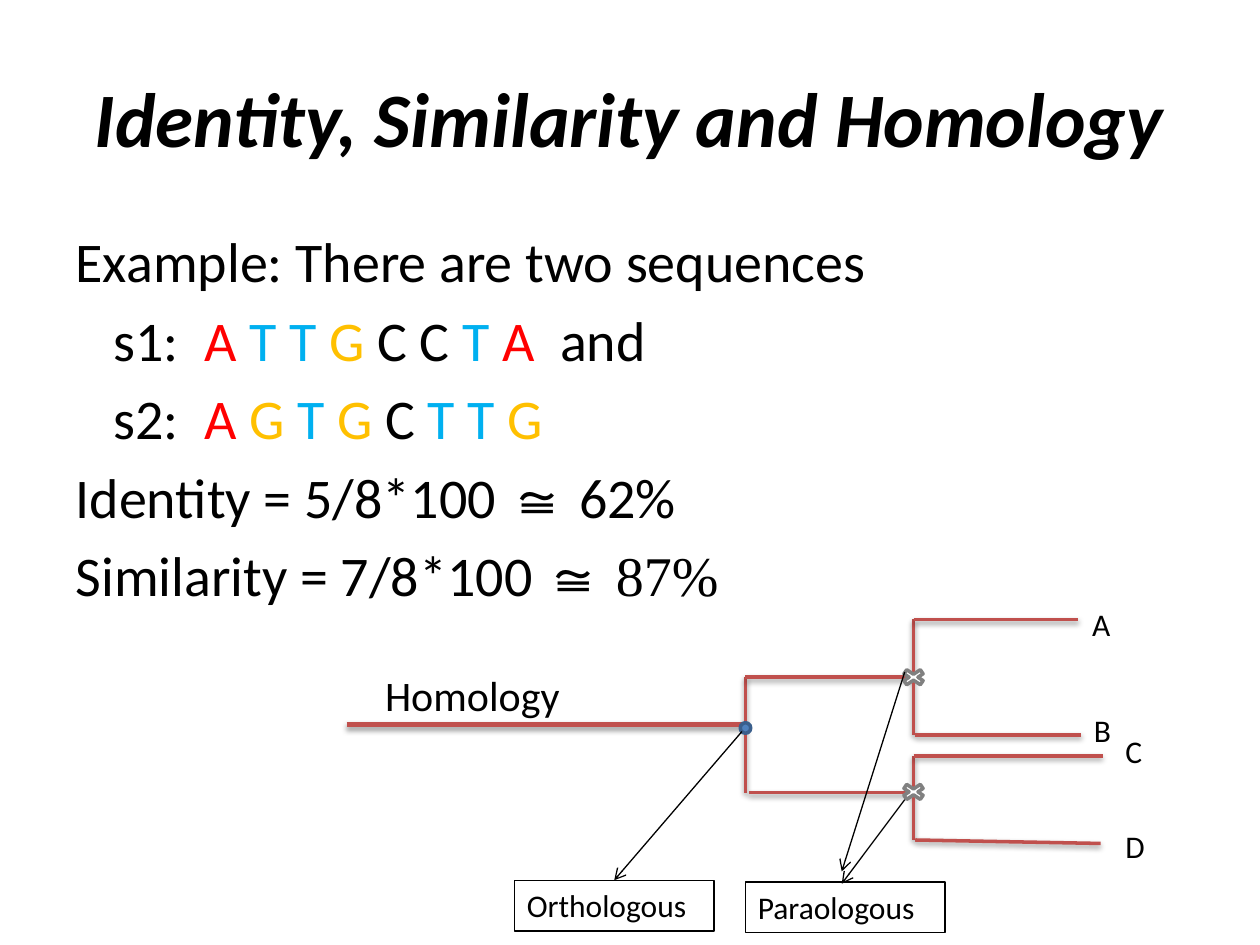
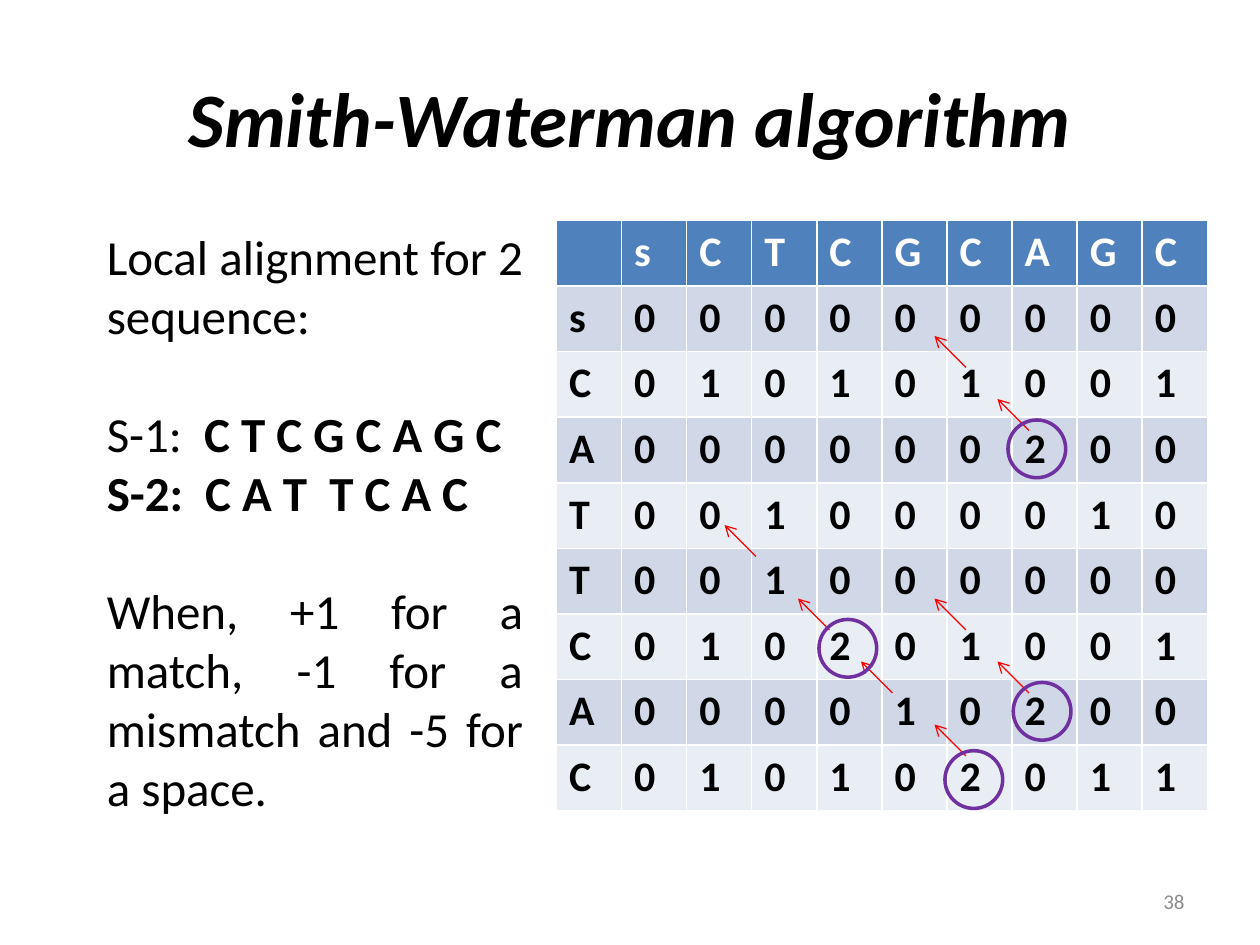
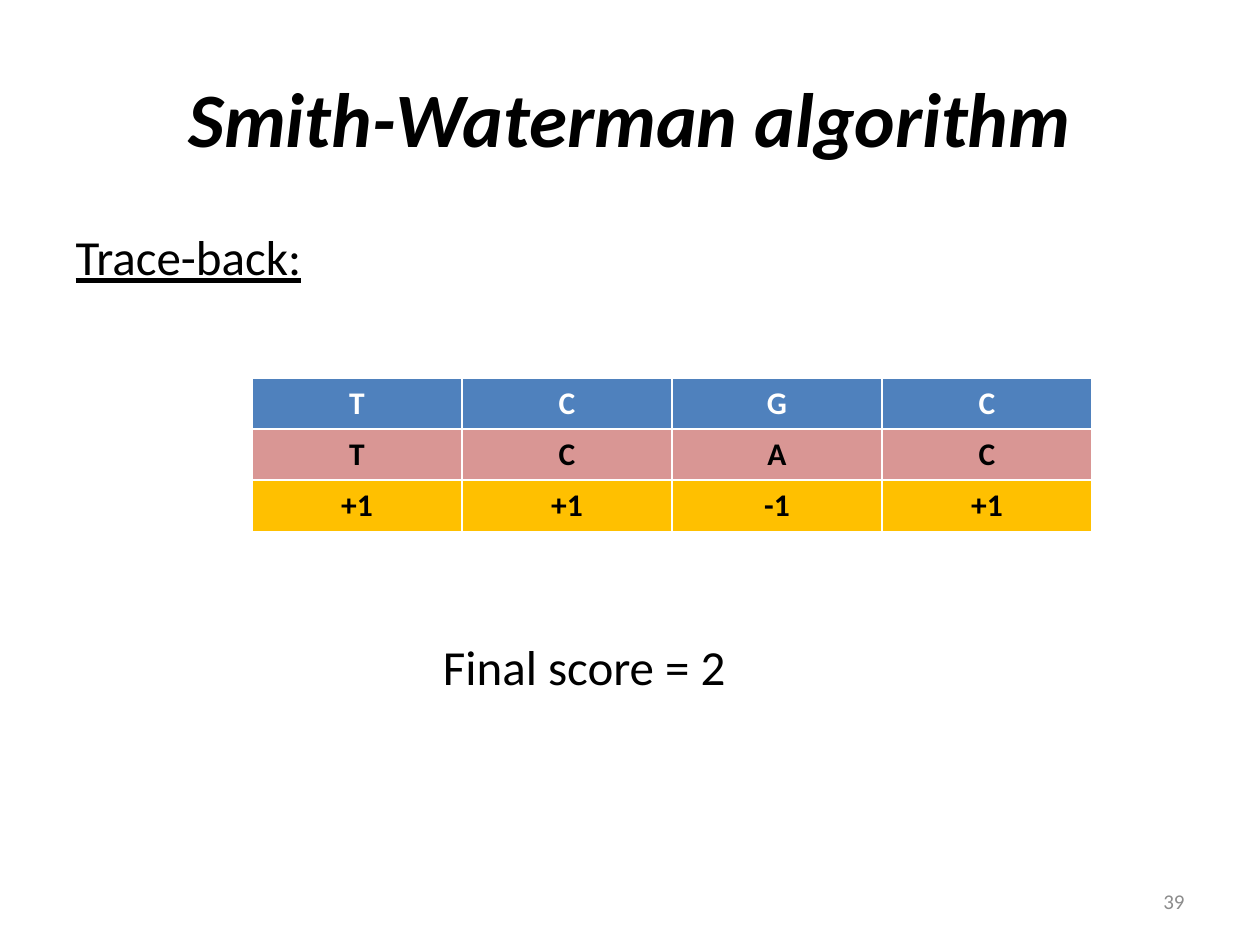
from lxml import etree
from pptx import Presentation
from pptx.dml.color import RGBColor
from pptx.enum import shapes, text
from pptx.oxml import ns
from pptx.util import Pt

BLACK = RGBColor(0x00, 0x00, 0x00)
WHITE = RGBColor(0xFF, 0xFF, 0xFF)
RED = RGBColor(0xFF, 0x00, 0x00)
SKY = RGBColor(0x00, 0xB0, 0xF0)
GOLD = RGBColor(0xFF, 0xC0, 0x00)
BRICK = RGBColor(0xC0, 0x50, 0x4D)
ROSE = RGBColor(0xD9, 0x96, 0x94)
BLUE = RGBColor(0x4F, 0x81, 0xBD)
NAVY = RGBColor(0x3A, 0x5F, 0x8C)
PALE = RGBColor(0xD0, 0xD8, 0xE8)
MIST = RGBColor(0xE9, 0xED, 0xF4)
GRAY = RGBColor(0x80, 0x80, 0x80)
ASH = RGBColor(0x8C, 0x8C, 0x8C)
PLUM = RGBColor(0x70, 0x30, 0xA0)

SANS, SERIF = "Calibri", "Times New Roman"
BASES = {"A": RED, "T": SKY, "G": GOLD, "C": BLACK}
LEFT, CENTER, RIGHT, JUST = (text.PP_ALIGN.LEFT, text.PP_ALIGN.CENTER,
                             text.PP_ALIGN.RIGHT, text.PP_ALIGN.JUSTIFY)


def sub(parent, tag, **attrs):
    return etree.SubElement(parent, ns.qn(tag), **attrs)


def place(shape, left, top, width, height):
    shape.left, shape.top = Pt(left), Pt(top)
    shape.width, shape.height = Pt(width), Pt(height)


class Deck:
    def __init__(self):
        self.prs = Presentation()
        self.prs.slide_width, self.prs.slide_height = Pt(720), Pt(540)
        self.slide = None

    def start(self, title, layout):
        self.slide = self.prs.slides.add_slide(self.prs.slide_layouts[layout])
        head = self.slide.shapes.title
        place(head, 36, 21.6, 648, 90)
        frame = head.text_frame
        frame.vertical_anchor = text.MSO_ANCHOR.MIDDLE
        par = frame.paragraphs[0]
        par.alignment = CENTER
        self.run(par, title, 44, bold=True, ital=True)

    def run(self, par, words, size, color=BLACK, font=SANS,
            bold=False, ital=False, under=False):
        run = par.add_run()
        run.text = words
        face = run.font
        face.name, face.size = font, Pt(size)
        face.bold, face.italic, face.underline = bold, ital, under
        face.color.rgb = color

    def body(self):
        """Place the body and return its text frame."""
        holder = self.slide.placeholders[1]
        place(holder, 36, 126, 648, 356.4)
        return holder.text_frame

    def par(self, frame, indent=0):
        """Return the next paragraph, without a bullet."""
        par = frame.paragraphs[0]
        if par.runs:
            par = frame.add_paragraph()
        props = par._p.get_or_add_pPr()
        props.set("marL", str(Pt(indent)))
        props.set("indent", "0")
        sub(props, "a:buNone")
        return par

    def box(self, spot, words="", size=18, color=BLACK, align=LEFT, edge=None):
        box = self.slide.shapes.add_textbox(*map(Pt, spot))
        frame = box.text_frame
        frame.word_wrap = True
        if edge is not None:
            box.line.color.rgb, box.line.width = edge, Pt(0.75)
        if words:
            par = frame.paragraphs[0]
            par.alignment = align
            self.run(par, words, size, color)
        return frame

    def line(self, begin, end, color, width=0.75, arrow=False, shade=False):
        link = self.slide.shapes.add_connector(
            shapes.MSO_CONNECTOR.STRAIGHT, *map(Pt, begin + end))
        link.line.color.rgb, link.line.width = color, Pt(width)
        if arrow:
            sub(link.line._get_or_add_ln(), "a:tailEnd", type="arrow")
        effect = sub(link._element.spPr, "a:effectLst")
        if shade:
            cast = sub(effect, "a:outerShdw", blurRad=str(Pt(3.1)), dist=str(Pt(1.6)),
                       dir="5400000", rotWithShape="0")
            hue = sub(cast, "a:srgbClr", val=str(BLACK))
            sub(hue, "a:alpha", val="38000")

    def form(self, kind, spot, edge, fill=None):
        form = self.slide.shapes.add_shape(kind, *map(Pt, spot))
        form.shadow.inherit = False
        form.line.color.rgb, form.line.width = edge, Pt(2)
        if fill is None:
            form.fill.background()
        else:
            form.fill.solid()
            form.fill.fore_color.rgb = fill

    def table(self, spot, rows, fills, size, align):
        grid = self.slide.shapes.add_table(
            len(rows), len(rows[0]), *map(Pt, spot)).table
        for r, (row, fill) in enumerate(zip(rows, fills)):
            for c, words in enumerate(row):
                cell = grid.cell(r, c)
                cell.fill.solid()
                cell.fill.fore_color.rgb = fill
                par = cell.text_frame.paragraphs[0]
                par.alignment = align
                if words.strip():
                    self.run(par, words, size, BLACK if r else WHITE, bold=True)
                else:
                    par.font.size = Pt(size)

    def number(self, num):
        frame = self.box((516, 500.5, 168, 28.8), str(num), 12, ASH, RIGHT)
        frame.vertical_anchor = text.MSO_ANCHOR.MIDDLE


def homology(deck):
    deck.start("Identity, Similarity and Homology", 1)
    frame = deck.body()
    deck.run(deck.par(frame), "Example: There are two sequences", 32)
    for name, bases, tail in (("s1:  ", "ATTGCCTA", "  and"),
                              ("s2:  ", "AGTGCTTG", "")):
        par = deck.par(frame, 21.6)
        deck.run(par, name, 32)
        for i, base in enumerate(bases, 1):
            gap = " " if i < len(bases) else ""
            deck.run(par, base + gap, 32, BASES[base])
        if tail:
            deck.run(par, tail, 32)
    par = deck.par(frame)
    deck.run(par, "Identity = 5/8*100 ", 32)
    deck.run(par, "≅ ", 32, font=SERIF)
    deck.run(par, "62%", 32)
    par = deck.par(frame)
    deck.run(par, "Similarity = 7/8*100 ", 32)
    deck.run(par, "≅ 87%", 32, font=SERIF)

    deck.line((198, 414), (426, 414), BRICK, 3, shade=True)
    for begin, end in (
            ((426, 387), (426, 453)), ((426, 387), (522, 387)),
            ((428, 453), (522, 453)), ((522, 354), (522, 420)),
            ((522, 354), (616, 354)), ((523, 420), (618, 420)),
            ((522, 432), (522, 480)), ((522, 432), (630, 432)),
            ((523, 480), (629, 482))):
        deck.line(begin, end, BRICK, 2, shade=True)
    for leaf, left, top in (("A", 617, 342), ("B", 618, 403),
                            ("C", 636, 415), ("D", 636, 469)):
        deck.box((left, top, 26, 29), leaf)
    for top in (381, 446.5):
        deck.form(shapes.MSO_SHAPE.MATH_MULTIPLY, (513, top, 18, 12), GRAY, WHITE)
    deck.form(shapes.MSO_SHAPE.OVAL, (423, 413, 6, 6), NAVY, BLUE)
    for begin, end in (((424, 418), (351, 503)), ((517, 457), (481, 505)),
                       ((517, 384), (481, 498))):
        deck.line(begin, end, BLACK, arrow=True)
    for kind, left, top in (("Orthologous", 294, 503), ("Paraologous", 426, 504)):
        deck.box((left, top, 114, 29), kind, edge=BLACK)
    deck.box((213, 379, 138, 36), "Homology", 24)


def scores(deck):
    deck.start("Smith-Waterman algorithm", 5)
    rows = (" sCTCGCAGC", "s000000000", "C010101001", "A000000200",
            "T001000010", "T001000000", "C010201001", "A000010200",
            "C010102011")
    deck.table((318, 126, 372, 337.5), rows, [BLUE] + [PALE, MIST] * 4, 24, LEFT)

    frame = deck.box((54, 126, 252, 346))
    blank = 34
    for gap, runs in (
            (0, [("Local alignment for 2 sequence:", False)]),
            (blank, [("S-1:  ", False), ("C T C G C A G C", True)]),
            (0, [("S-2:  C A T  T C A C", True)]),
            (blank, [("When, +1 for a match, -1 for a mismatch "
                      "and -5 for a space.", False)])):
        par = deck.par(frame)
        par.alignment, par.space_before = JUST, Pt(gap)
        for words, bold in runs:
            deck.run(par, words, 28, bold=bold)

    step = 18
    for x, y in ((588, 396), (510, 396), (474, 360), (432, 318),
                 (552, 360), (588, 246), (552, 210), (552, 432)):
        deck.line((x, y), (x - step, y - step), RED, arrow=True)
    for left, top in ((579, 390), (576, 240), (468, 354), (540, 429)):
        deck.form(shapes.MSO_SHAPE.OVAL, (left, top, 33, 33), PLUM)
    deck.number(38)


def trace(deck):
    deck.start("Smith-Waterman algorithm", 1)
    deck.run(deck.par(deck.body()), "Trace-back:", 28, under=True)
    rows = ("TCGC", "TCAC", ("+1", "+1", "-1", "+1"))
    deck.table((144, 216, 480, 87.6), rows, (BLUE, ROSE, GOLD), 18, CENTER)
    deck.box((246, 360, 198, 41), "Final score = 2", 28)
    deck.number(39)


def main():
    deck = Deck()
    for build in (homology, scores, trace):
        build(deck)
    deck.prs.save("out.pptx")


if __name__ == "__main__":
    main()
